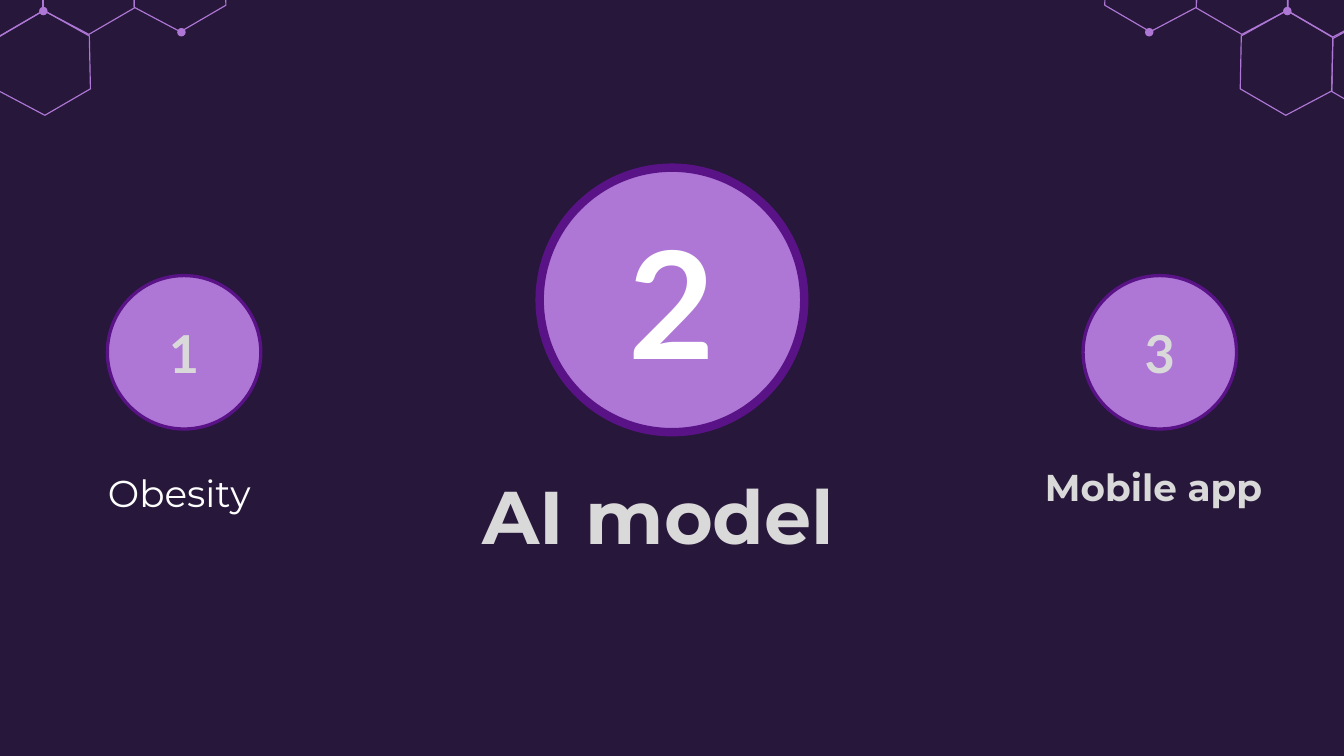
from pptx import Presentation
from pptx.dml.color import RGBColor
from pptx.enum.shapes import MSO_SHAPE
from pptx.enum.text import MSO_ANCHOR, PP_ALIGN
from pptx.util import Cm, Pt

COLORS = {
    "night": "27173A",
    "lilac": "AE77D6",
    "violet": "5A1387",
    "white": "FFFFFF",
    "grey": "D9D9D9",
}


def color(name):
    return RGBColor.from_string(COLORS[name])


def write(frame, text, font_name, size, ink, bold):
    frame.word_wrap = True
    frame.text = text
    paragraph = frame.paragraphs[0]
    paragraph.alignment = PP_ALIGN.CENTER
    font = paragraph.runs[0].font
    font.name = font_name
    font.size = Pt(size)
    font.bold = bold
    font.color.rgb = color(ink)


prs = Presentation()
prs.slide_width = Cm(25.4)
prs.slide_height = Cm(14.29)
slide = prs.slides.add_slide(prs.slide_layouts[6])
slide.background.fill.solid()
slide.background.fill.fore_color.rgb = color("night")
shapes = slide.shapes

hexagon_corners = [(0, 0), (0.02, -1), (0.88, -1.48), (1.75, -0.97), (1.73, 0.04), (0.86, 0.5)]
right_hexagons = [(24.33, 0.2), (22.61, 0.15), (20.88, 0.1), (23.44, 1.68), (25.17, 1.73)]
atom_centers = [(24.33, 0.21), (21.72, 0.61)]
atom_size = 0.16
mirror_width = 25.15

for mirrored in (False, True):
    offset, direction = (mirror_width, -1) if mirrored else (0, 1)
    hexagons = right_hexagons[:4] if mirrored else right_hexagons
    for x, y in hexagons:
        corners = [(Cm(offset + direction * (x + dx)), Cm(y + dy)) for dx, dy in hexagon_corners]
        outline = shapes.build_freeform(*corners[0])
        outline.add_line_segments(corners[1:], close=True)
        hexagon = outline.convert_to_shape()
        hexagon.shadow.inherit = False
        hexagon.fill.background()
        hexagon.line.color.rgb = color("lilac")
        hexagon.line.width = Pt(0.61)
    for x, y in atom_centers:
        left = offset + direction * x - atom_size / 2
        atom = shapes.add_shape(
            MSO_SHAPE.OVAL, Cm(left), Cm(y - atom_size / 2), Cm(atom_size), Cm(atom_size)
        )
        atom.shadow.inherit = False
        atom.fill.solid()
        atom.fill.fore_color.rgb = color("lilac")
        atom.line.fill.background()

topics = [
    ("Obesity", 0.66, 8.64, 5.46, 1.4, 20, "white", False),
    ("AI model", 8.52, 8.64, 7.85, 2.11, 40, "grey", True),
    ("Mobile app", 18.72, 8.53, 6.17, 1.6, 20, "grey", True),
]
for text, left, top, width, height, size, ink, bold in topics:
    topic = shapes.add_textbox(Cm(left), Cm(top), Cm(width), Cm(height))
    frame = topic.text_frame
    frame.margin_left = frame.margin_right = Cm(0.25)
    frame.margin_top = frame.margin_bottom = Cm(0.25)
    write(frame, text, "Montserrat", size, ink, bold)

steps = [
    ("1", 2.03, 5.21, 2.9, 1.75, 28, "grey"),
    ("2", 10.2, 3.17, 5, 4.5, 80, "white"),
    ("3", 20.47, 5.21, 2.9, 1.75, 28, "grey"),
]
for number, left, top, diameter, border, size, ink in steps:
    step = shapes.add_shape(MSO_SHAPE.OVAL, Cm(left), Cm(top), Cm(diameter), Cm(diameter))
    step.shadow.inherit = False
    step.fill.solid()
    step.fill.fore_color.rgb = color("lilac")
    step.line.color.rgb = color("violet")
    step.line.width = Pt(border)
    step.text_frame.vertical_anchor = MSO_ANCHOR.MIDDLE
    write(step.text_frame, number, "Lato", size, ink, True)

prs.save("out.pptx")
